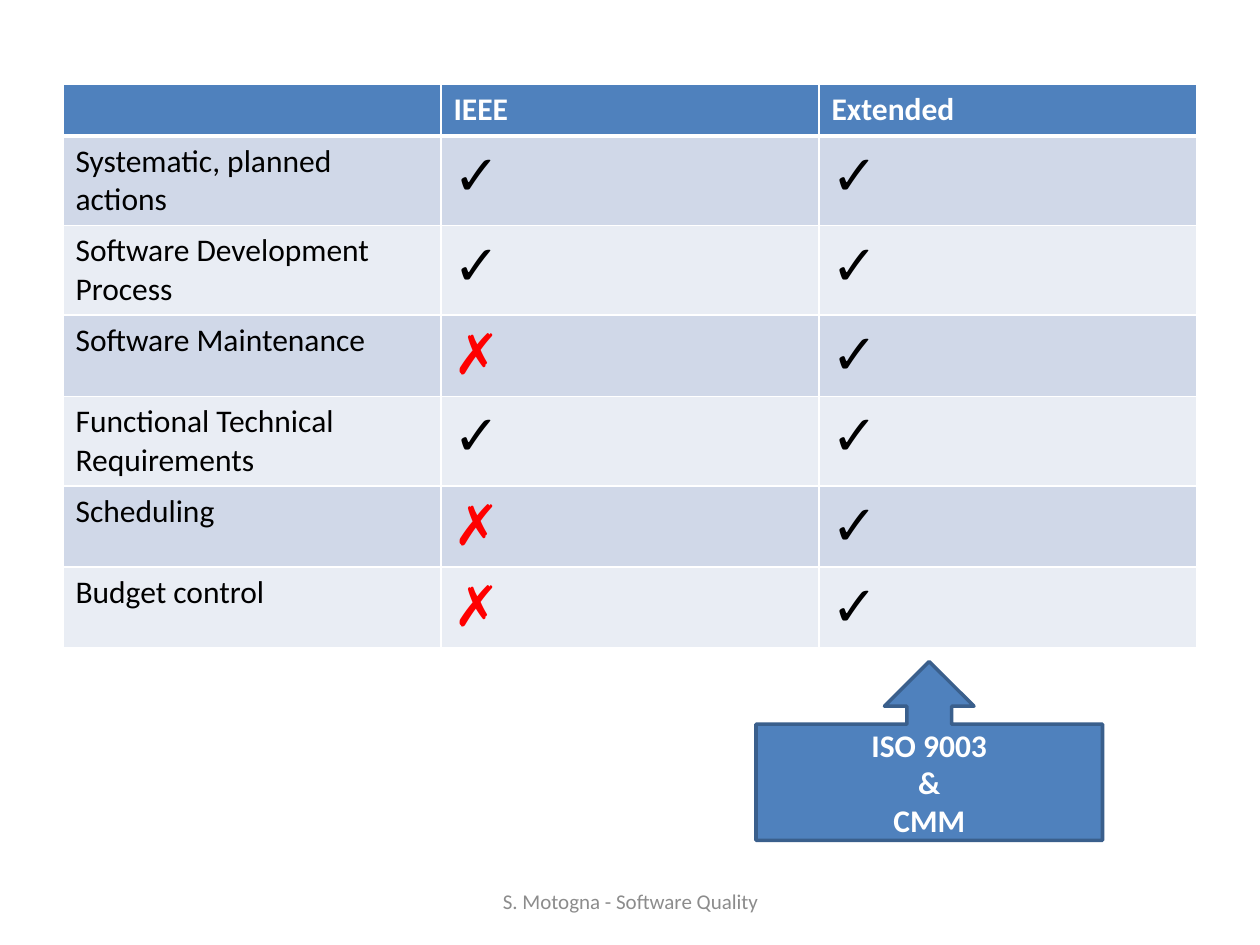
from dataclasses import dataclass

from lxml.etree import SubElement
from pptx import Presentation
from pptx.dml.color import RGBColor as Rgb
from pptx.enum.shapes import MSO_SHAPE as Shape
from pptx.enum.text import MSO_ANCHOR as Anchor, PP_ALIGN as Align
from pptx.oxml.ns import qn
from pptx.util import Inches, Pt


@dataclass(frozen=True)
class Theme:
    font: str = "Calibri"
    blue: str = "4F81BD"
    edge: str = "3A5F8C"
    bands: tuple = ("D0D8E8", "E9EDF4")
    white: str = "FFFFFF"
    black: str = "000000"
    red: str = "FF0000"
    gray: str = "8C8C8C"
    body: int = 18
    mark: int = 32
    small: int = 12


THEME = Theme()
YES, NO = "✓", "✗"
HEAD = ("", "IEEE", "Extended")
ROWS = (
    ("Systematic, planned actions", YES, YES),
    ("Software Development Process", YES, YES),
    ("Software Maintenance", NO, YES),
    ("Functional Technical Requirements", YES, YES),
    ("Scheduling", NO, YES),
    ("Budget control", NO, YES),
)


def add_run(para, text, size, color, bold=False):
    run = para.add_run()
    run.text = text
    font = run.font
    font.name, font.size, font.bold = THEME.font, Pt(size), bold
    font.color.rgb = Rgb.from_string(color)


def paint(fill, color):
    fill.solid()
    fill.fore_color.rgb = Rgb.from_string(color)


def add_edges(cell, below):
    """Draw white cell borders; below is the bottom width in points."""
    props = cell._tc.get_or_add_tcPr()
    sides = (("lnL", 1), ("lnR", 1), ("lnT", 1), ("lnB", below))
    for spot, (tag, width) in enumerate(sides):
        line = SubElement(props, qn(f"a:{tag}"), w=str(Pt(width)))
        fill = SubElement(line, qn("a:solidFill"))
        SubElement(fill, qn("a:srgbClr"), val=THEME.white)
        props.insert(spot, line)


def fill_cell(cell, text, row):
    head = row == 0
    paint(cell.fill, THEME.blue if head else THEME.bands[(row - 1) % 2])
    add_edges(cell, 3 if head else 1)
    if not text:
        return
    size = THEME.mark if text in (YES, NO) else THEME.body
    color = THEME.white if head else THEME.red if text == NO else THEME.black
    add_run(cell.text_frame.paragraphs[0], text, size, color, head)


def add_grid(slide, box):
    data = (HEAD, *ROWS)
    frame = slide.shapes.add_table(len(data), len(HEAD), *box)
    grid = frame.table
    for row, texts in enumerate(data):
        grid.rows[row].height = Inches(0.41)
        for col, text in enumerate(texts):
            fill_cell(grid.cell(row, col), text, row)


def add_callout(slide, box):
    shape = slide.shapes.add_shape(Shape.UP_ARROW_CALLOUT, *box)
    shape.shadow.inherit = False
    paint(shape.fill, THEME.blue)
    paint(shape.line.fill, THEME.edge)
    shape.line.width = Pt(2)
    frame = shape.text_frame
    frame.word_wrap = True
    frame.vertical_anchor = Anchor.MIDDLE
    for spot, text in enumerate(("ISO 9003", "&", "CMM")):
        para = frame.add_paragraph() if spot else frame.paragraphs[0]
        para.alignment = Align.CENTER
        add_run(para, text, THEME.body, THEME.white, True)


def add_footer(slide, box):
    frame = slide.shapes.add_textbox(*box).text_frame
    frame.word_wrap = True
    frame.vertical_anchor = Anchor.MIDDLE
    para = frame.paragraphs[0]
    para.alignment = Align.CENTER
    add_run(para, "S. Motogna - Software Quality", THEME.small, THEME.gray)


def inch_box(*sides):
    return [Inches(side) for side in sides]


def main():
    deck = Presentation()
    deck.slide_width, deck.slide_height = Inches(10), Inches(7.5)
    slide = deck.slides.add_slide(deck.slide_layouts[6])
    add_grid(slide, inch_box(0.5, 0.67, 9, 4.41))
    add_footer(slide, inch_box(3.42, 6.95, 3.17, 0.4))
    add_callout(slide, inch_box(6, 5.25, 2.75, 1.42))
    deck.save("out.pptx")


if __name__ == "__main__":
    main()
